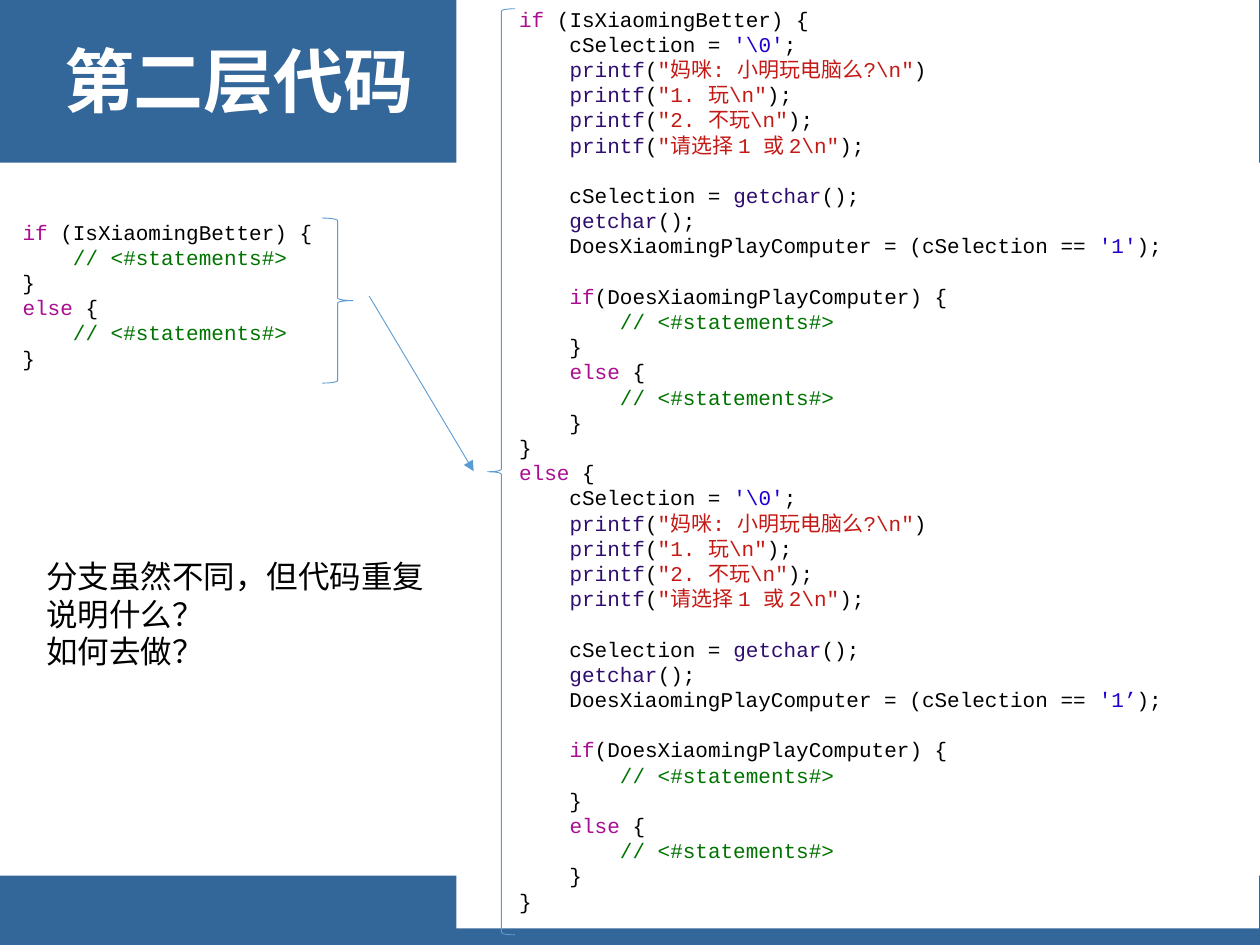
from lxml import etree
from pptx import Presentation
from pptx import util as u
from pptx.dml.color import RGBColor
from pptx.enum import shapes, text
from pptx.oxml.ns import qn

BLACK, WHITE, BAND, ACCENT = "000000", "FFFFFF", "336699", "5B9BD5"
KEYWORD, CALL, STRING, CHARACTER, COMMENT = "AA0D91", "2E0D6E", "C41A16", "1C00CF", "007400"
CODE_FONT, CHINESE_FONT = "Courier New", "Noto Sans CJK SC"
OUTER, INNER, DEEP = " " * 4, " " * 8, " " * 12


def colour(hex_string):
    return RGBColor.from_string(hex_string)


class SlideBuilder:
    """Holds the shared style and the current slide, and draws each kind of element."""

    def __init__(self, slide):
        self.slide = slide
        self.line_width = u.Pt(0.5)

    def preset(self, kind, box, fill=None, line=None):
        shape = self.slide.shapes.add_shape(kind, *map(u.Pt, box))
        shape.shadow.inherit = False
        if fill:
            shape.fill.solid()
            shape.fill.fore_color.rgb = colour(fill)
        else:
            shape.fill.background()
        if line:
            shape.line.color.rgb = colour(line)
            shape.line.width = self.line_width
        else:
            shape.line.fill.background()
        return shape

    def text_box(self, box, lines, **style):
        shape = self.slide.shapes.add_textbox(*map(u.Pt, box))
        self.add_lines(shape, lines, **style)

    def add_lines(self, shape, lines, font, size, spacing, wrap=True, bold=False,
                  anchor=text.MSO_ANCHOR.TOP):
        frame = shape.text_frame
        frame.word_wrap = wrap
        frame.vertical_anchor = anchor
        paragraph, gap = frame.paragraphs[0], False
        for index, line in enumerate(lines):
            if not line:
                gap = True
                continue
            if index:
                paragraph = frame.add_paragraph()
            paragraph.alignment = text.PP_ALIGN.LEFT
            paragraph.line_spacing = spacing
            if gap:
                paragraph.space_before = spacing
                gap = False
            for content, hex_string in line:
                self.add_run(paragraph, content, hex_string, font, size, bold)

    def add_run(self, paragraph, content, hex_string, font, size, bold):
        run = paragraph.add_run()
        run.text = content
        run.font.name = font
        run.font.size = u.Pt(size)
        run.font.bold = bold
        run.font.color.rgb = colour(hex_string)
        properties = run._r.get_or_add_rPr()
        etree.SubElement(properties, qn("a:ea")).set("typeface", CHINESE_FONT)

    def arrow(self, start, end, hex_string):
        connector = self.slide.shapes.add_connector(
            shapes.MSO_CONNECTOR.STRAIGHT, *map(u.Pt, start + end))
        connector.line.color.rgb = colour(hex_string)
        connector.line.width = self.line_width
        properties = connector._element.spPr
        etree.SubElement(properties.find(qn("a:ln")), qn("a:tailEnd")).set("type", "triangle")
        etree.SubElement(properties, qn("a:effectLst"))


def plain(content):
    return [(content, BLACK)]


def print_line(literal, ending=");"):
    return [(INNER, BLACK), ("printf", CALL), ("(", BLACK), (literal, STRING), (ending, BLACK)]


def if_else(indent, opening, then_lines, else_lines):
    return [
        [(indent, BLACK), ("if", KEYWORD), (opening, BLACK)],
        *then_lines,
        plain(indent + "}"),
        [(indent, BLACK), ("else", KEYWORD), (" {", BLACK)],
        *else_lines,
        plain(indent + "}"),
    ]


def statements(indent):
    return [[(indent, BLACK), ("// <#statements#>", COMMENT)]]


def question(answer):
    return [
        [(INNER + "cSelection = ", BLACK), ("'\\0'", CHARACTER), (";", BLACK)],
        print_line('"妈咪: 小明玩电脑么?\\n"', ")"),
        print_line('"1. 玩\\n"'),
        print_line('"2. 不玩\\n"'),
        print_line('"请选择 1 或 2\\n"'),
        [],
        [(INNER + "cSelection = ", BLACK), ("getchar", CALL), ("();", BLACK)],
        [(INNER + "getchar", CALL), ("();", BLACK)],
        [(INNER + "DoesXiaomingPlayComputer = (cSelection == ", BLACK),
         (answer, CHARACTER), (");", BLACK)],
        [],
        *if_else(INNER, "(DoesXiaomingPlayComputer) {", statements(DEEP), statements(DEEP)),
    ]


def main():
    presentation = Presentation()
    presentation.slide_width, presentation.slide_height = u.Pt(720), u.Pt(540)
    builder = SlideBuilder(presentation.slides.add_slide(presentation.slide_layouts[6]))
    kinds = shapes.MSO_SHAPE
    code_style = {"font": CODE_FONT, "size": 12, "spacing": u.Pt(14.4)}
    condition = " (IsXiaomingBetter) {"

    builder.preset(kinds.RECTANGLE, (0, 0, 720, 92.9), fill=BAND)
    builder.preset(kinds.RECTANGLE, (0, 500.4, 720, 39.6), fill=BAND)
    builder.text_box((29.5, 13, 661.7, 71.3), [[("第二层代码", WHITE)]], font=CHINESE_FONT,
                     size=40, spacing=0.9, bold=True, anchor=text.MSO_ANCHOR.MIDDLE)

    panel = builder.preset(kinds.RECTANGLE, (260.8, 0, 458.6, 530.6), fill=WHITE)
    code = if_else(OUTER, condition, question("'1'"), question("'1’"))
    builder.add_lines(panel, code, **code_style)
    builder.preset(kinds.LEFT_BRACE, (278.6, 5, 15.8, 529.2), line=ACCENT)

    outline = if_else(OUTER, condition, statements(INNER), statements(INNER))
    builder.text_box((-23, 121.7, 360, 94.3), outline, **code_style)
    builder.preset(kinds.RIGHT_BRACE, (184.3, 124.6, 17.3, 94.3), line=ACCENT)
    builder.arrow((211, 169.2), (270.7, 269.3), ACCENT)

    remarks = ("分支虽然不同，但代码重复", "说明什么？", "如何去做？")
    builder.text_box((19.4, 314.6, 232.6, 72.7), [plain(remark) for remark in remarks],
                     font=CHINESE_FONT, size=18, spacing=u.Pt(21.6), wrap=False)

    presentation.save("out.pptx")


if __name__ == "__main__":
    main()
